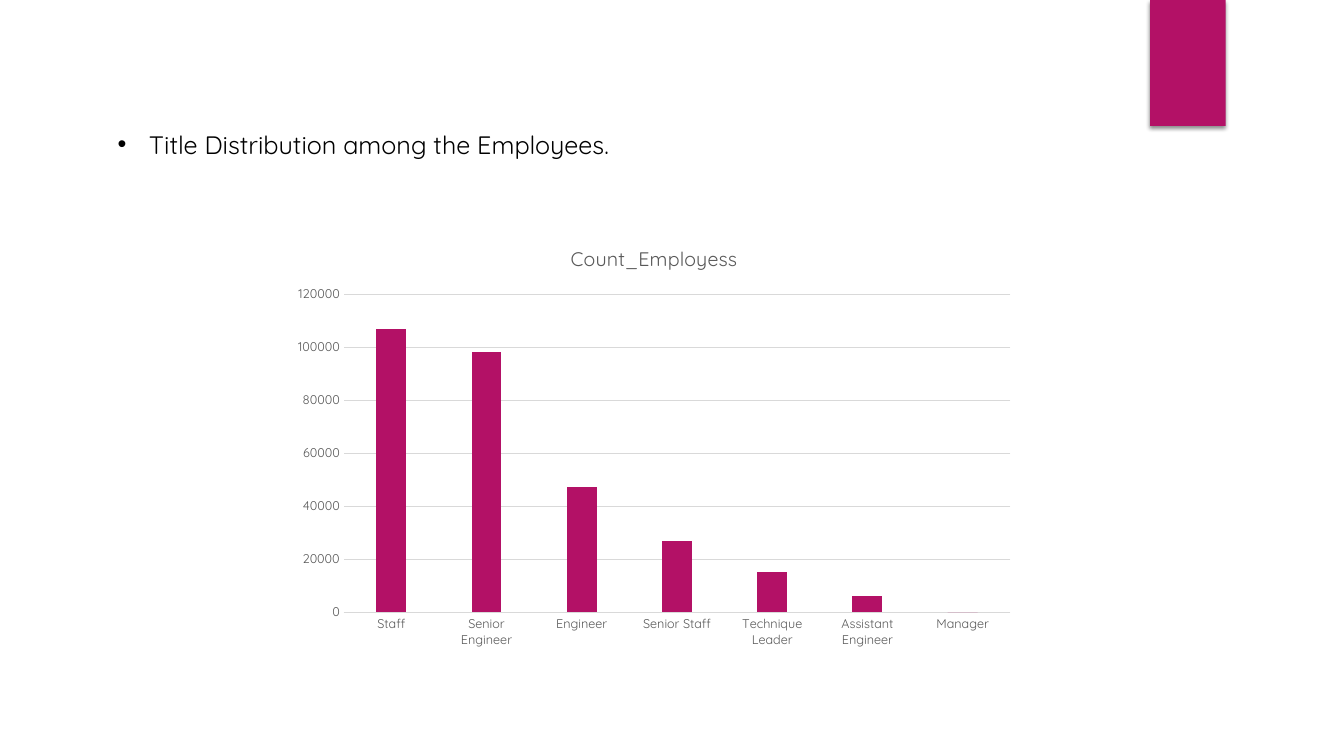
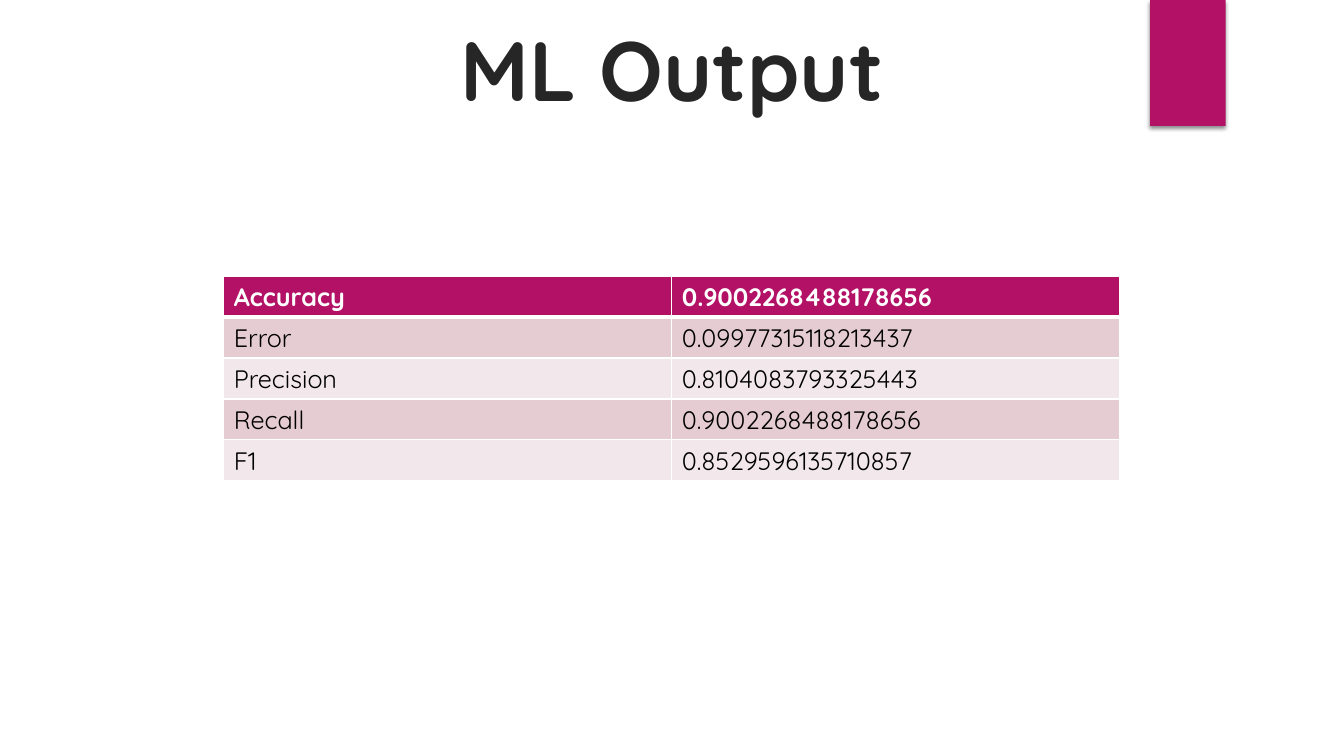
from dataclasses import dataclass

from lxml.etree import SubElement
from pptx import Presentation
from pptx.chart.data import CategoryChartData
from pptx.dml.color import RGBColor
from pptx.enum.chart import XL_CHART_TYPE, XL_TICK_MARK
from pptx.enum.shapes import MSO_SHAPE
from pptx.enum.text import MSO_AUTO_SIZE, PP_ALIGN
from pptx.oxml import parse_xml
from pptx.oxml.ns import nsdecls, qn
from pptx.util import Inches, Pt

FONT = "Quicksand"
ACCENT, BLACK, WHITE = "B31166", "000000", "FFFFFF"
TITLE_INK, CHART_INK, GRID_LINE = "262626", "595959", "D9D9D9"
ROW_TINTS = ("E5CCD3", "F2E7EA")

COLUMNS, ROWS = 160, 90
SLIDE_WIDTH, SLIDE_HEIGHT = Inches(13.333), Inches(7.5)


@dataclass
class Box:
    column: float
    row: float
    columns: float
    rows: float

    def place(self):
        across, down = SLIDE_WIDTH / COLUMNS, SLIDE_HEIGHT / ROWS
        return (round(self.column * across), round(self.row * down),
                round(self.columns * across), round(self.rows * down))


BAND = Box(136.92, 0, 9, 15)
TITLE = Box(22.2, 1.44, 115.56, 13.32)
BULLET = Box(12.84, 14.76, 95.04, 4.8)
CHART = Box(33.72, 27, 88.32, 51.12)
TABLE = Box(26.64, 32.88, 106.68, 24.36)

TITLE_COUNTS = {
    "Staff": 107000,
    "Senior Engineer": 98000,
    "Engineer": 47000,
    "Senior Staff": 27000,
    "Technique Leader": 15000,
    "Assistant Engineer": 6000,
    "Manager": 0,
}
SCORES = [
    ("Accuracy", "0.9002268488178656"),
    ("Error", "0.09977315118213437"),
    ("Precision", "0.8104083793325443"),
    ("Recall", "0.9002268488178656"),
    ("F1", "0.8529596135710857"),
]


def color(value):
    return RGBColor.from_string(value)


def fill_with(target, value):
    target.fill.solid()
    target.fill.fore_color.rgb = color(value)


def style_font(font, size, ink, bold=False):
    font.name = FONT
    font.size = Pt(size)
    font.bold = bold
    font.color.rgb = color(ink)


def style_line(line, ink):
    line.color.rgb = color(ink)
    line.width = Pt(0.75)


def add_band(page, box):
    band = page.shapes.add_shape(MSO_SHAPE.RECTANGLE, *box.place())
    fill_with(band, ACCENT)
    band.line.fill.background()
    band.shadow.inherit = False
    effects = band._element.spPr.find(qn("a:effectLst"))
    effects.append(parse_xml(
        f'<a:outerShdw {nsdecls("a")} blurRad="{Pt(3)}" dist="{Pt(2)}" '
        f'dir="5400000" rotWithShape="0"><a:srgbClr val="{BLACK}">'
        '<a:alpha val="45000"/></a:srgbClr></a:outerShdw>'))


def add_page(deck):
    page = deck.slides.add_slide(deck.slide_layouts[6])
    add_band(page, BAND)
    return page


def add_text(page, box, text, size, ink, bold=False):
    frame = page.shapes.add_textbox(*box.place()).text_frame
    frame.word_wrap = True
    frame.auto_size = MSO_AUTO_SIZE.SHAPE_TO_FIT_TEXT
    para = frame.paragraphs[0]
    para.text = text
    style_font(para.font, size, ink, bold)
    return para


def add_bullet(page, box, text):
    para = add_text(page, box, text, 18, BLACK)
    properties = para._p.get_or_add_pPr()
    indent = Inches(0.31)
    properties.set("marL", str(indent))
    properties.set("indent", str(-indent))
    properties.insert(0, parse_xml(f'<a:buChar {nsdecls("a")} char="•"/>'))
    properties.insert(0, parse_xml(f'<a:buFont {nsdecls("a")} typeface="Arial"/>'))


def add_column_chart(page, box, name, counts):
    data = CategoryChartData()
    data.categories = list(counts)
    data.add_series(name, list(counts.values()))
    chart = page.shapes.add_chart(
        XL_CHART_TYPE.COLUMN_CLUSTERED, *box.place(), data).chart
    style_font(chart.font, 10, BLACK)
    chart.has_legend = False
    chart.has_title = True
    heading = chart.chart_title.text_frame.paragraphs[0]
    heading.text = name
    style_font(heading.font, 14, CHART_INK)

    for axis in (chart.category_axis, chart.value_axis):
        axis.major_tick_mark = XL_TICK_MARK.NONE
        axis.minor_tick_mark = XL_TICK_MARK.NONE
        style_font(axis.tick_labels.font, 9, CHART_INK)
    style_line(chart.category_axis.format.line, GRID_LINE)
    values = chart.value_axis
    values.format.line.fill.background()
    values.minimum_scale, values.maximum_scale = 0, 120000
    values.major_unit = 20000
    style_line(values.major_gridlines.format.line, GRID_LINE)

    plot = chart.plots[0]
    plot.vary_by_categories = False
    plot.gap_width, plot.overlap = 219, -27
    fill_with(plot.series[0].format, ACCENT)


def add_borders(cell, widths):
    properties = cell._tc.get_or_add_tcPr()
    for side, width in widths.items():
        line = SubElement(properties, qn(f"a:ln{side}"), w=str(Pt(width)))
        fill = SubElement(line, qn("a:solidFill"))
        SubElement(fill, qn("a:srgbClr"), val=WHITE)


def add_score_table(page, box, scores):
    table = page.shapes.add_table(len(scores), len(scores[0]), *box.place()).table
    for row, score in enumerate(scores):
        header = row == 0
        for column, text in enumerate(score):
            cell = table.cell(row, column)
            add_borders(cell, {"L": 1, "R": 1, "T": 3 if row == 1 else 1,
                               "B": 3 if header else 1})
            fill_with(cell, ACCENT if header else ROW_TINTS[(row - 1) % 2])
            para = cell.text_frame.paragraphs[0]
            para.text = text
            style_font(para.font, 18, WHITE if header else BLACK, header)


def build_distribution(deck):
    page = add_page(deck)
    add_column_chart(page, CHART, "Count_Employess", TITLE_COUNTS)
    add_bullet(page, BULLET, "Title Distribution among the Employees.")


def build_output(deck):
    page = add_page(deck)
    title = add_text(page, TITLE, "ML Output", 60, TITLE_INK, bold=True)
    title.alignment = PP_ALIGN.CENTER
    add_score_table(page, TABLE, SCORES)


def main():
    deck = Presentation()
    deck.slide_width, deck.slide_height = SLIDE_WIDTH, SLIDE_HEIGHT
    build_distribution(deck)
    build_output(deck)
    deck.save("out.pptx")


if __name__ == "__main__":
    main()
